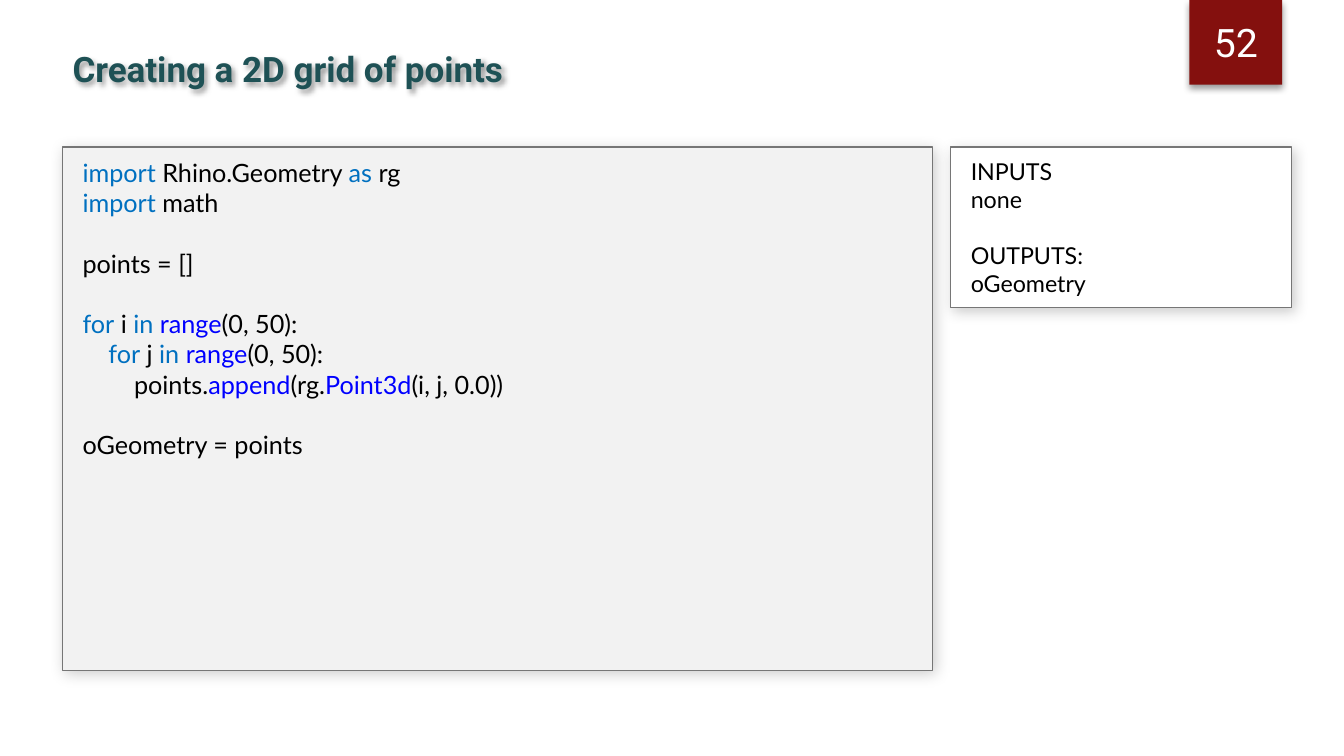
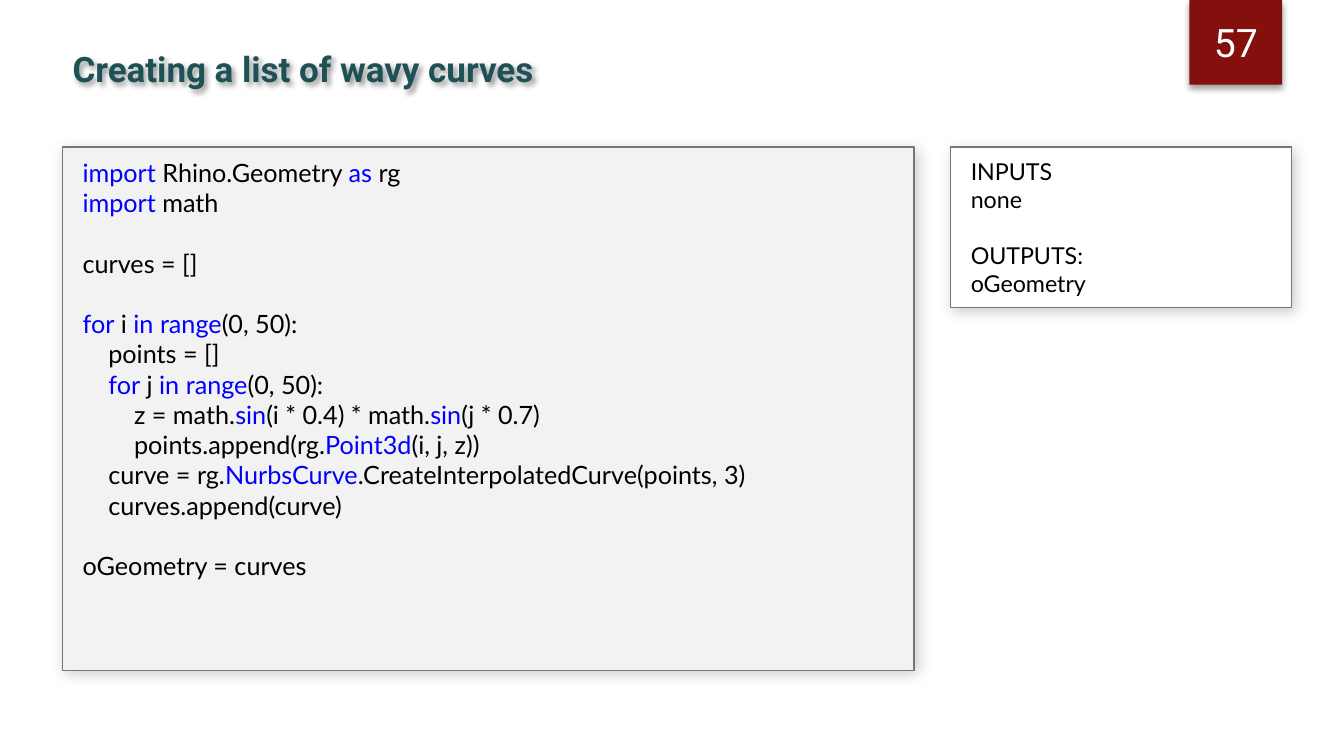
from itertools import groupby

from lxml import etree
from pptx import Presentation
from pptx.dml.color import RGBColor
from pptx.enum.shapes import MSO_SHAPE
from pptx.enum.text import MSO_ANCHOR, MSO_AUTO_SIZE, PP_ALIGN
from pptx.oxml.ns import qn
from pptx.util import Pt

RECTANGLE = MSO_SHAPE.RECTANGLE
TOP, MIDDLE = MSO_ANCHOR.TOP, MSO_ANCHOR.MIDDLE
LEFT, CENTER = PP_ALIGN.LEFT, PP_ALIGN.CENTER
NO_AUTOFIT = MSO_AUTO_SIZE.NONE

TEAL = RGBColor(0x1E, 0x51, 0x55)
DARK_RED = RGBColor(0x84, 0x10, 0x0E)
LIGHT_GREY = RGBColor(0xF2, 0xF2, 0xF2)
BORDER_GREY = RGBColor(0x76, 0x76, 0x76)
WHITE = RGBColor(0xFF, 0xFF, 0xFF)
BLACK = RGBColor(0x00, 0x00, 0x00)
SKY_BLUE = RGBColor(0x00, 0x70, 0xC0)
PURE_BLUE = RGBColor(0x00, 0x00, 0xFF)

HEADING_FONT = "Roboto"
CODE_FONT = "Lato"
LINE_HEIGHT = 1.2

MARGIN = 44.6
PANEL_TOP = 105.1

INTERFACE = """INPUTS
none

OUTPUTS:
oGeometry"""

GRID_CODE = """import Rhino.Geometry as rg
import math

points = []

for i in range(0, 50):
    for j in range(0, 50):
        points.append(rg.Point3d(i, j, 0.0))

oGeometry = points"""

WAVES_CODE = """import Rhino.Geometry as rg
import math

curves = []

for i in range(0, 50):
    points = []
    for j in range(0, 50):
        z = math.sin(i * 0.4) * math.sin(j * 0.7)
        points.append(rg.Point3d(i, j, z))
    curve = rg.NurbsCurve.CreateInterpolatedCurve(points, 3)
    curves.append(curve)

oGeometry = curves"""

KEYWORDS = ("import", "as", "for", "in")
GRID_COLOURS = (dict.fromkeys(KEYWORDS, SKY_BLUE)
                | dict.fromkeys(("range", "append", "Point3d"), PURE_BLUE))
WAVES_COLOURS = dict.fromkeys(
    KEYWORDS + ("range", "sin", "Point3d", "NurbsCurve"), PURE_BLUE)


def cast_shadow(shape, opacity, blur, distance, angle):
    """Give the shape a black outer shadow; opacity in percent, angle in degrees."""
    shape.shadow.inherit = False
    effects = shape._element.spPr.find(qn("a:effectLst"))
    outer = etree.SubElement(
        effects, qn("a:outerShdw"), blurRad=str(Pt(blur)), dist=str(Pt(distance)),
        dir=str(angle * 60000), algn="tl", rotWithShape="0")
    colour = etree.SubElement(outer, qn("a:srgbClr"), val=str(BLACK))
    etree.SubElement(colour, qn("a:alpha"), val=str(opacity * 1000))


def style(paragraph, font_name, size, colour, align=LEFT, bold=False):
    paragraph.alignment = align
    font = paragraph.font
    font.name, font.size, font.bold = font_name, Pt(size), bold
    font.color.rgb = colour


def place(shape, left, top, width, height):
    shape.left, shape.top = Pt(left), Pt(top)
    shape.width, shape.height = Pt(width), Pt(height)


class Deck:
    def __init__(self):
        self.presentation = Presentation()
        self.presentation.slide_width = Pt(960)
        self.presentation.slide_height = Pt(540)
        self.slide = None

    def add_slide(self, title, number):
        layout = self.presentation.slide_layouts.get_by_name("Title Only")
        self.slide = self.presentation.slides.add_slide(layout)
        self.add_title(title)
        self.add_number(number)

    def add_title(self, text):
        title = self.slide.shapes.title
        place(title, MARGIN, 28, 786, 79)
        cast_shadow(title, 40, 4, 3, 45)
        frame = title.text_frame
        frame.text = text
        frame.vertical_anchor = TOP
        frame.auto_size = NO_AUTOFIT
        frame.margin_top = Pt(6)
        style(frame.paragraphs[0], HEADING_FONT, 25, TEAL, bold=True)

    def add_box(self, left, top, width, height, fill):
        box = self.slide.shapes.add_shape(
            RECTANGLE, Pt(left), Pt(top), Pt(width), Pt(height))
        box.fill.solid()
        box.fill.fore_color.rgb = fill
        box.text_frame.word_wrap = True
        return box

    def add_number(self, number):
        badge = self.add_box(849.6, 0, 66.2, 60.5, DARK_RED)
        badge.line.fill.background()
        cast_shadow(badge, 40, 5, 3, 90)
        frame = badge.text_frame
        frame.vertical_anchor = MIDDLE
        frame.text = str(number)
        style(frame.paragraphs[0], HEADING_FONT, 28, WHITE, CENTER)

    def add_panel(self, text, left, width, height, fill, size, word_colours):
        """Add a bordered listing; blank lines become space before the next line."""
        panel = self.add_box(left, PANEL_TOP, width, height, fill)
        panel.line.color.rgb = BORDER_GREY
        panel.line.width = Pt(1)
        cast_shadow(panel, 20, 10, 3, 45)
        frame = panel.text_frame
        frame.vertical_anchor = TOP
        frame.margin_left = frame.margin_right = Pt(14.4)
        frame.margin_top = frame.margin_bottom = Pt(7.2)
        for block_index, block in enumerate(text.split("\n\n")):
            for line_index, line in enumerate(block.split("\n")):
                is_first = block_index == line_index == 0
                paragraph = frame.paragraphs[0] if is_first else frame.add_paragraph()
                if block_index and not line_index:
                    paragraph.space_before = Pt(size * LINE_HEIGHT)
                style(paragraph, CODE_FONT, size, BLACK)
                self.add_runs(paragraph, line, word_colours)

    def add_runs(self, paragraph, line, word_colours):
        """Split the line into runs, colouring the words listed in word_colours."""
        words = ["".join(chars) for _, chars in groupby(line, str.isalnum)]
        for colour, group in groupby(words, word_colours.get):
            run = paragraph.add_run()
            run.text = "".join(group)
            if colour is not None:
                run.font.color.rgb = colour

    def add_code(self, code, width, word_colours):
        self.add_panel(code, MARGIN, width, 373.7, LIGHT_GREY, 18, word_colours)

    def add_interface(self):
        self.add_panel(INTERFACE, 679, 243.4, 114.5, WHITE, 16.6, {})


def main():
    deck = Deck()
    for title, number, code, code_width, word_colours in (
        ("Creating a 2D grid of points", 52, GRID_CODE, 621.4, GRID_COLOURS),
        ("Creating a list of wavy curves", 57, WAVES_CODE, 608.4, WAVES_COLOURS),
    ):
        deck.add_slide(title, number)
        deck.add_code(code, code_width, word_colours)
        deck.add_interface()
    deck.presentation.save("out.pptx")


if __name__ == "__main__":
    main()
